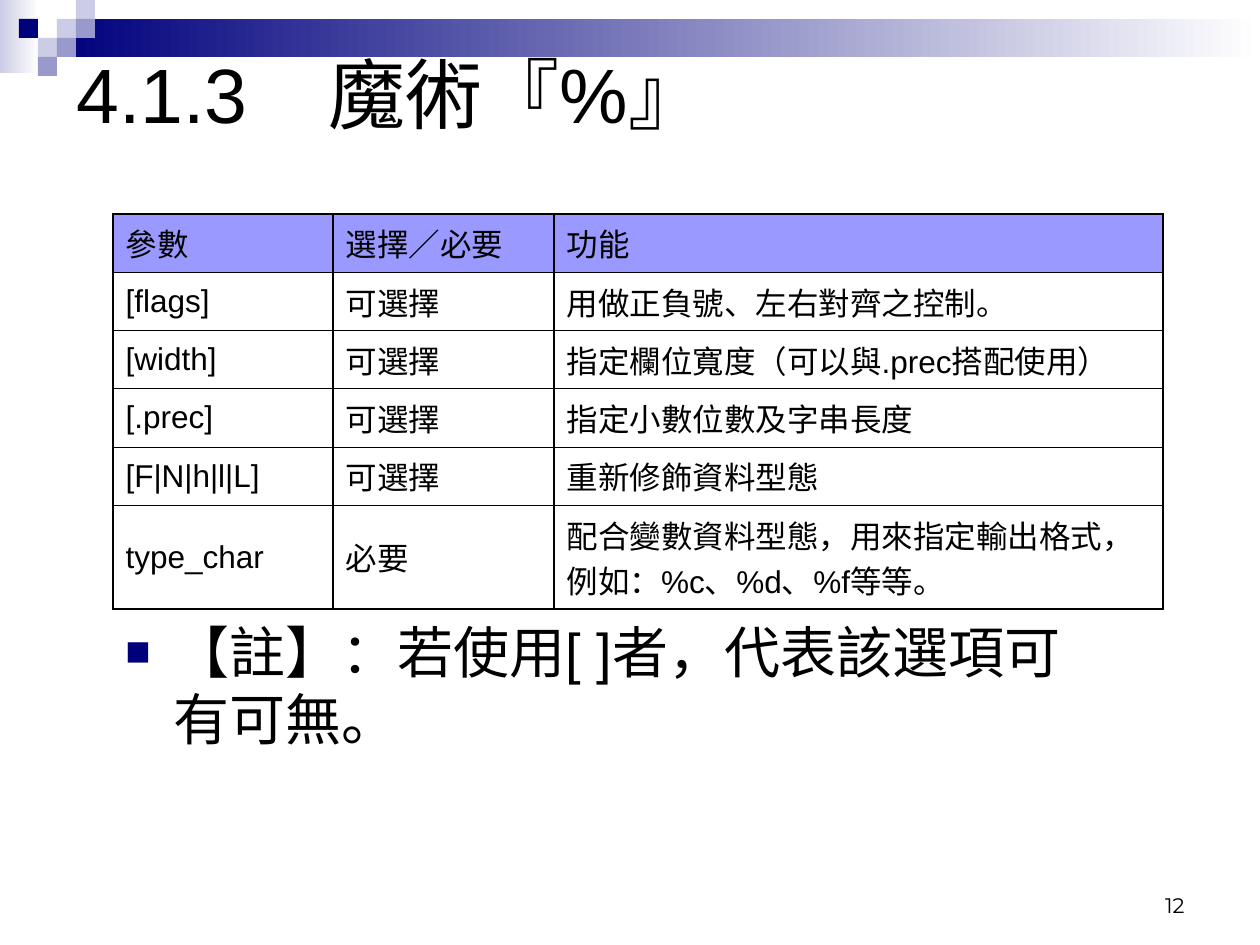
"""Build the slide on the parameters of the magic percent sign."""
from pptx import Presentation
from pptx.dml.color import RGBColor
from pptx.enum.shapes import MSO_SHAPE as Preset
from pptx.enum.text import MSO_ANCHOR as Anchor, MSO_AUTO_SIZE as AutoSize, PP_ALIGN as Align
from pptx.oxml.ns import qn
from pptx.util import Emu, Pt
from lxml.etree import SubElement

TITLE = "4.1.3\t魔術『%』"
NOTE = "【註】：若使用[ ]者，代表該選項可有可無。"
NUMBER = "12"
ROWS = [
    ("參數", "選擇／必要", "功能"),
    ("[flags]", "可選擇", "用做正負號、左右對齊之控制。"),
    ("[width]", "可選擇", "指定欄位寬度（可以與.prec搭配使用）"),
    ("[.prec]", "可選擇", "指定小數位數及字串長度"),
    ("[F|N|h|l|L]", "可選擇", "重新修飾資料型態"),
    ("type_char", "必要", "配合變數資料型態，用來指定輸出格式，例如：%c、%d、%f等等。"),
]
THEME = {
    "navy": "00007D", "pale": "CCCCE6", "mid": "9999CC", "header": "9999FF",
    "white": "FFFFFF", "black": "000000", "font": "Arial", "number_font": "Montserrat",
    "title": 44, "note": 32, "cell": 18, "number": 12, "thick": 1.08, "thin": 0.45,
}
TILE = 19
BANDS = [((0, 0, 39, 73), "pale"), ((57, TILE, 1203, 2 * TILE), "navy")]
TILES = [(3, 1, "pale"), (4, 0, "pale"), (4, 1, "mid"), (2, 2, "pale"),
         (1, 1, "navy"), (3, 2, "mid"), (2, 3, "mid")]
TITLE_AREA = (64, 35, 1029, 116)
NOTE_AREA = (113, 611, 1014, 147)
NUMBER_AREA = (903, 861, 294, 63)
TABLE_PLACE = (113, 214)
COLUMNS = [220, 221, 609]
HEIGHTS = [50, 50, 54, 54, 54, 88]
NOTE_INDENT = 48
TAB_STEP = 126


def px(count):
    return Emu(round(count * 914400 / 126))


def color(name):
    return RGBColor.from_string(THEME[name])


def assign(target, values):
    for name, value in values.items():
        setattr(target, name, value)


def write(frame, text, size, font="font", align=Align.LEFT):
    para = frame.paragraphs[0]
    para.alignment = align
    span = para.add_run()
    span.text = text
    assign(span.font, {"name": THEME[font], "size": Pt(THEME[size]), "bold": False})
    span.font.color.rgb = color("black")
    return para


def set_frame(frame, anchor):
    assign(frame, {"word_wrap": True, "auto_size": AutoSize.NONE, "vertical_anchor": anchor})


def place(shape, area):
    assign(shape, dict(zip(("left", "top", "width", "height"), map(px, area))))


def add_tabs(para, first):
    tabs = SubElement(para._p.get_or_add_pPr(), qn("a:tabLst"))
    for step in range(first, first + 8):
        SubElement(tabs, qn("a:tab"), pos=str(px(step * TAB_STEP)), algn="l")


def add_bullet(para):
    properties = para._p.get_or_add_pPr()
    assign_indent = {"marL": px(NOTE_INDENT), "indent": -px(NOTE_INDENT)}
    for name, value in assign_indent.items():
        properties.set(name, str(value))
    SubElement(SubElement(properties, qn("a:buClr")), qn("a:srgbClr"), val=THEME["navy"])
    SubElement(properties, qn("a:buSzPct"), val="75000")
    SubElement(properties, qn("a:buFont"), typeface=THEME["font"])
    SubElement(properties, qn("a:buChar"), char="■")


def add_block(page, area):
    block = page.shapes.add_shape(Preset.RECTANGLE, *map(px, area))
    block.shadow.inherit = False
    block.line.fill.background()
    return block


def add_decoration(page):
    for area, tint in BANDS:
        fill = add_block(page, area).fill
        fill.gradient()
        fill.gradient_angle = 180
        for stop, name in zip(fill.gradient_stops, ("white", tint)):
            stop.color.rgb = color(name)
    for column, row, tint in TILES:
        fill = add_block(page, (column * TILE, row * TILE, TILE, TILE)).fill
        fill.solid()
        fill.fore_color.rgb = color(tint)


def add_title(page):
    title = page.shapes.title
    page.shapes._spTree.append(title._element)
    place(title, TITLE_AREA)
    set_frame(title.text_frame, Anchor.MIDDLE)
    add_tabs(write(title.text_frame, TITLE, "title"), 0)


def add_text(page, area, anchor, *content):
    frame = page.shapes.add_textbox(*map(px, area)).text_frame
    set_frame(frame, anchor)
    return write(frame, *content)


def add_borders(cell, row):
    top = "thick" if row == 0 else "thin"
    bottom = "thick" if row == len(ROWS) - 1 else "thin"
    edges = {"lnL": "thick", "lnR": "thick", "lnT": top, "lnB": bottom}
    for edge, weight in edges.items():
        line = SubElement(cell._tc.get_or_add_tcPr(), qn(f"a:{edge}"), w=str(Pt(THEME[weight])))
        SubElement(SubElement(line, qn("a:solidFill")), qn("a:srgbClr"), val=THEME["black"])


def add_parameters(page):
    size = (sum(COLUMNS), sum(HEIGHTS))
    table = page.shapes.add_table(len(ROWS), len(COLUMNS), *map(px, TABLE_PLACE + size)).table
    assign(table, {"first_row": False, "horz_banding": False})
    for column, width in zip(table.columns, COLUMNS):
        column.width = px(width)
    for index, (row, height, texts) in enumerate(zip(table.rows, HEIGHTS, ROWS)):
        row.height = px(height)
        for cell, text in zip(row.cells, texts):
            cell.vertical_anchor = Anchor.MIDDLE
            write(cell.text_frame, text, "cell")
            add_borders(cell, index)
            if index == 0:
                cell.fill.solid()
                cell.fill.fore_color.rgb = color("header")
            else:
                cell.fill.background()


def main():
    deck = Presentation()
    assign(deck, {"slide_width": px(1260), "slide_height": px(945)})
    page = deck.slides.add_slide(deck.slide_layouts[5])
    add_decoration(page)
    add_title(page)
    note = add_text(page, NOTE_AREA, Anchor.TOP, NOTE, "note")
    add_bullet(note)
    add_tabs(note, 1)
    add_parameters(page)
    add_text(page, NUMBER_AREA, Anchor.BOTTOM, NUMBER, "number", "number_font", Align.RIGHT)
    deck.save("out.pptx")


if __name__ == "__main__":
    main()
